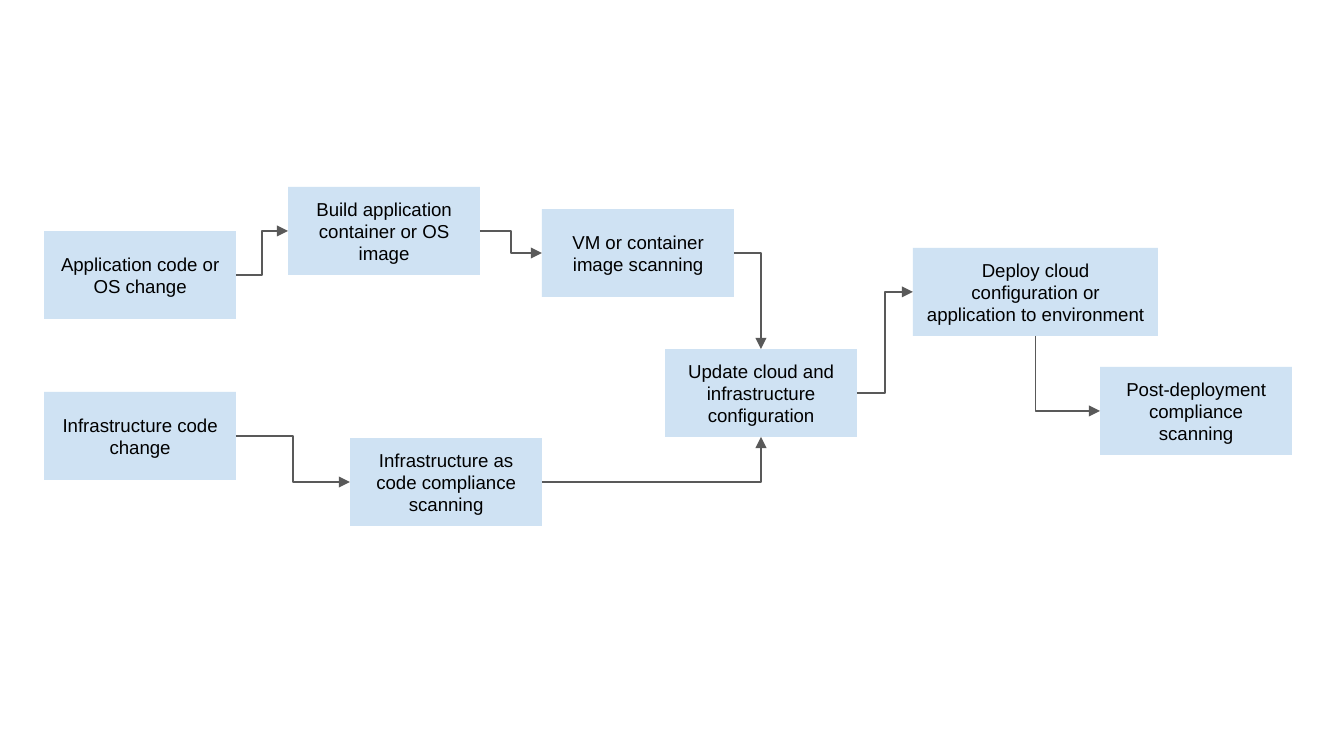
from dataclasses import dataclass
from enum import IntEnum

from lxml.etree import SubElement
from pptx import Presentation
from pptx.dml.color import RGBColor
from pptx.enum.shapes import MSO_CONNECTOR as Route, MSO_SHAPE as Preset
from pptx.enum.text import MSO_ANCHOR as Anchor, PP_ALIGN as Align
from pptx.oxml.ns import qn
from pptx.util import Inches, Pt

EMU_PER_PIXEL = 914400 / 134.4
STEP_WIDTH, STEP_HEIGHT = 192, 88
COLORS = {"step": "CFE2F3", "arrow": "595959", "text": "000000"}


class Side(IntEnum):
    TOP = 0
    LEFT = 1
    BOTTOM = 2
    RIGHT = 3


@dataclass(frozen=True)
class Step:
    label: str
    left: int
    top: int
    width: int = STEP_WIDTH

    def site(self, side: Side) -> tuple[float, float]:
        across, down = {
            Side.TOP: (0.5, 0),
            Side.LEFT: (0, 0.5),
            Side.BOTTOM: (0.5, 1),
            Side.RIGHT: (1, 0.5),
        }[side]
        return self.left + across * self.width, self.top + down * STEP_HEIGHT


@dataclass(frozen=True)
class Flow:
    source: str
    target: str
    leaves: Side = Side.RIGHT
    enters: Side = Side.LEFT


STEPS = {
    "app_change": Step("Application code or OS change", 44, 231),
    "infra_change": Step("Infrastructure code change", 44, 392),
    "build": Step("Build application container or OS image", 288, 187),
    "infra_scan": Step("Infrastructure as code compliance scanning", 350, 438),
    "image_scan": Step("VM or container image scanning", 542, 209),
    "update": Step("Update cloud and infrastructure configuration", 665, 349),
    "deploy": Step("Deploy cloud configuration or application to environment", 913, 248, 245),
    "post_scan": Step("Post-deployment compliance scanning", 1100, 367),
}
FLOWS = [
    Flow("app_change", "build"),
    Flow("infra_change", "infra_scan"),
    Flow("build", "image_scan"),
    Flow("update", "deploy"),
    Flow("image_scan", "update", enters=Side.TOP),
    Flow("infra_scan", "update", enters=Side.BOTTOM),
    Flow("deploy", "post_scan", leaves=Side.BOTTOM),
]


def px(pixels: float) -> int:
    return round(pixels * EMU_PER_PIXEL)


def color(name: str) -> RGBColor:
    return RGBColor.from_string(COLORS[name])


def draw_step(slide, step: Step):
    box = slide.shapes.add_shape(
        Preset.RECTANGLE, px(step.left), px(step.top), px(step.width), px(STEP_HEIGHT)
    )
    box.shadow.inherit = False
    box.fill.solid()
    box.fill.fore_color.rgb = color("step")
    box.line.fill.background()
    frame = box.text_frame
    frame.word_wrap = True
    frame.vertical_anchor = Anchor.MIDDLE
    frame.margin_left = frame.margin_right = Inches(0.1)
    frame.margin_top = frame.margin_bottom = Inches(0.1)
    paragraph = frame.paragraphs[0]
    paragraph.alignment = Align.CENTER
    run = paragraph.add_run()
    run.text = step.label
    run.font.name = "Arial"
    run.font.size = Pt(10)
    run.font.color.rgb = color("text")
    return box


def draw_flow(slide, flow: Flow, boxes: dict) -> None:
    x1, y1 = STEPS[flow.source].site(flow.leaves)
    x2, y2 = STEPS[flow.target].site(flow.enters)
    arrow = slide.shapes.add_connector(Route.ELBOW, px(x1), px(y1), px(x2), px(y2))
    arrow.begin_connect(boxes[flow.source], flow.leaves.value)
    arrow.end_connect(boxes[flow.target], flow.enters.value)
    arrow.line.color.rgb = color("arrow")
    arrow.line.width = Pt(0.75)
    properties = arrow._element.spPr
    SubElement(arrow.line._get_or_add_ln(), qn("a:tailEnd"), type="triangle")
    SubElement(properties, qn("a:effectLst"))
    if (flow.leaves, flow.enters) != (Side.RIGHT, Side.LEFT):
        properties.find(qn("a:prstGeom")).set("prst", "bentConnector2")
    if flow.leaves == Side.BOTTOM:
        width, height = y2 - y1, x2 - x1
        arrow.left = px((x1 + x2 - width) / 2)
        arrow.top = px((y1 + y2 - height) / 2)
        arrow.width, arrow.height = px(width), px(height)
        transform = properties.find(qn("a:xfrm"))
        transform.set("rot", str(270 * 60000))
        transform.set("flipH", "1")


def main() -> None:
    deck = Presentation()
    deck.slide_width, deck.slide_height = px(1344), px(756)
    slide = deck.slides.add_slide(deck.slide_layouts[6])
    boxes = {key: draw_step(slide, step) for key, step in STEPS.items()}
    for flow in FLOWS:
        draw_flow(slide, flow, boxes)
    deck.save("out.pptx")


main()
